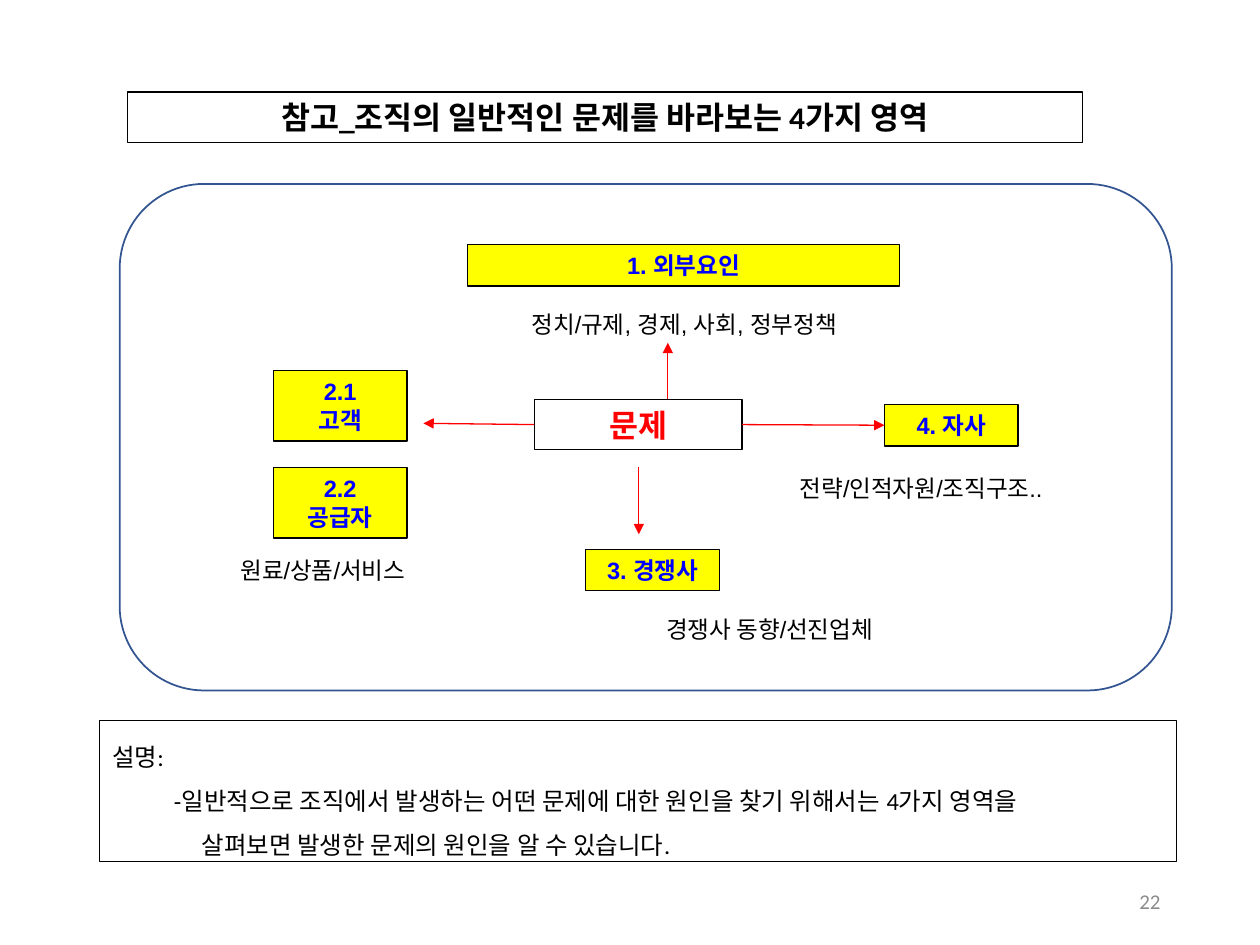
from dataclasses import dataclass

from lxml import etree
from pptx import Presentation
from pptx.dml.color import RGBColor
from pptx.enum.shapes import MSO_CONNECTOR, MSO_SHAPE
from pptx.enum.text import MSO_ANCHOR, MSO_AUTO_SIZE, PP_ALIGN
from pptx.oxml.ns import qn
from pptx.util import Inches, Pt

RECT, ROUND = MSO_SHAPE.RECTANGLE, MSO_SHAPE.ROUNDED_RECTANGLE
LINE = MSO_CONNECTOR.STRAIGHT
LEFT, MID, RIGHT = PP_ALIGN.LEFT, PP_ALIGN.CENTER, PP_ALIGN.RIGHT
TOP, CENTER = MSO_ANCHOR.TOP, MSO_ANCHOR.MIDDLE
FIXED = MSO_AUTO_SIZE.NONE
COLS, ROWS = 100, 75
WIDE, HIGH = Inches(10), Inches(7.5)


@dataclass(frozen=True)
class Theme:
    ink: str = "000000"
    white: str = "FFFFFF"
    yellow: str = "FFFF00"
    blue: str = "0000FF"
    red: str = "FF0000"
    frame: str = "325491"
    gray: str = "8C8C8C"
    head: float = 18
    body: float = 14
    label: float = 13.5
    foot: float = 12
    sans: str = "Arial"
    text: str = "Calibri"


T = Theme()
TAG = dict(size=T.label, name=T.sans, bold=True, color=T.blue)
NOTE = dict(size=T.label, name=T.sans, bold=False, color=T.ink)
CORE = dict(size=T.head, name=T.sans, bold=True, color=T.red)
TITLE = dict(size=T.head, name=T.text, bold=True, color=T.ink)
BODY = dict(size=T.body, name=T.text, bold=False, color=T.ink)
PAGE = dict(size=T.foot, name=T.text, bold=False, color=T.gray)

# Column, row, width and height in grid units
TAGS = {
    "1. 외부요인": (37.1, 19.4, 34.3, 3.3),
    "2.1\n고객": (21.7, 29.4, 10.6, 5.6),
    "2.2\n공급자": (21.7, 37.1, 10.6, 5.6),
    "3. 경쟁사": (46.5, 43.6, 10.6, 3.3),
    "4. 자사": (70.2, 32.1, 10.6, 3.3),
}
NOTES = {
    "정치/규제, 경제, 사회, 정부정책": (41.2, 24.1, 30.1, 3.3),
    "원료/상품/서비스": (18.1, 43.6, 18.9, 3.3),
    "경쟁사 동향/선진업체": (51.9, 48.3, 27.8, 3.3),
    "전략/인적자원/조직구조..": (62.5, 37.1, 24.8, 3.3),
}
LINES = [
    ("설명:", 0),
    ("-일반적으로 조직에서 발생하는 어떤 문제에 대한 원인을 찾기 위해서는 4가지 영역을", 4.9),
    ("살펴보면 발생한 문제의 원인을 알 수 있습니다.", 7.1),
]


def grid(*nums):
    """Turn alternating columns and rows into slide lengths."""
    units = WIDE / COLS, HIGH / ROWS
    return [round(n * units[i % 2]) for i, n in enumerate(nums)]


def write(shape, text, look, align=LEFT, anchor=TOP):
    frame = shape.text_frame
    frame.text = text
    for key, val in dict(word_wrap=True, auto_size=FIXED, vertical_anchor=anchor).items():
        setattr(frame, key, val)
    look = dict(look, size=Pt(look["size"]))
    tint = RGBColor.from_string(look.pop("color"))
    for para in frame.paragraphs:
        para.alignment = align
        for run in para.runs:
            for key, val in look.items():
                setattr(run.font, key, val)
            run.font.color.rgb = tint


def edge(shape, color=T.ink, width=0.75):
    shape.line.color.rgb = RGBColor.from_string(color)
    shape.line.width = Pt(width)


def place(shape, spot):
    for key, val in zip(("left", "top", "width", "height"), grid(*spot)):
        setattr(shape, key, val)


def box(slide, spot, text, look, fill):
    shape = slide.shapes.add_shape(RECT, *grid(*spot))
    shape.shadow.inherit = False
    shape.fill.solid()
    shape.fill.fore_color.rgb = RGBColor.from_string(fill)
    edge(shape)
    write(shape, text, look, MID, CENTER)
    return shape


def label(slide, spot, text, look, **kw):
    write(slide.shapes.add_textbox(*grid(*spot)), text, look, **kw)


def arrow(slide, ends):
    link = slide.shapes.add_connector(LINE, *grid(*ends))
    edge(link, T.red)
    etree.SubElement(link.line._get_or_add_ln(), qn("a:tailEnd"), type="triangle")
    etree.SubElement(link._element.spPr, qn("a:effectLst"))
    return link


def border(slide, spot):
    shape = slide.shapes.add_shape(ROUND, *grid(*spot))
    shape.shadow.inherit = False
    shape.fill.background()
    edge(shape, T.frame, 1)


def title(slide, text):
    shape = slide.shapes.title
    place(shape, (10.1, 7.3, 75.8, 4))
    edge(shape)
    write(shape, text, TITLE, MID, CENTER)


def explain(slide):
    shape = slide.placeholders[1]
    place(shape, (7.9, 57.2, 85.5, 11.2))
    edge(shape)
    write(shape, "\n".join(text for text, _ in LINES), BODY)
    for para, (_, inset) in zip(shape.text_frame.paragraphs, LINES):
        para.line_spacing = 1.5
        para.space_before = Pt(0)
        props = para._p.get_or_add_pPr()
        props.set("marL", str(grid(inset)[0]))
        props.set("indent", "0")
        etree.SubElement(props, qn("a:buNone"))


def diagram(slide):
    tags = {text: box(slide, spot, text, TAG, T.yellow) for text, spot in TAGS.items()}
    for text, spot in NOTES.items():
        label(slide, spot, text, NOTE)
    core = box(slide, (42.4, 31.7, 16.5, 4), "문제", CORE, T.white)
    arrow(slide, (53, 31.7, 53, 27.2))
    arrow(slide, (50.7, 37.1, 50.7, 42.4))
    arrow(slide, (42.4, 33.7, 33.6, 33.6)).begin_connect(core, 1)
    right = arrow(slide, (58.9, 33.7, 70.2, 33.8))
    right.begin_connect(core, 3)
    right.end_connect(tags["4. 자사"], 1)
    border(slide, (9.5, 14.6, 83.5, 40.2))


def main():
    deck = Presentation()
    deck.slide_width, deck.slide_height = WIDE, HIGH
    slide = deck.slides.add_slide(deck.slide_layouts[1])
    title(slide, "참고_조직의 일반적인 문제를 바라보는 4가지 영역")
    diagram(slide)
    explain(slide)
    label(slide, (70.6, 69.5, 22.5, 4), "22", PAGE, align=RIGHT, anchor=CENTER)
    deck.save("out.pptx")


if __name__ == "__main__":
    main()
